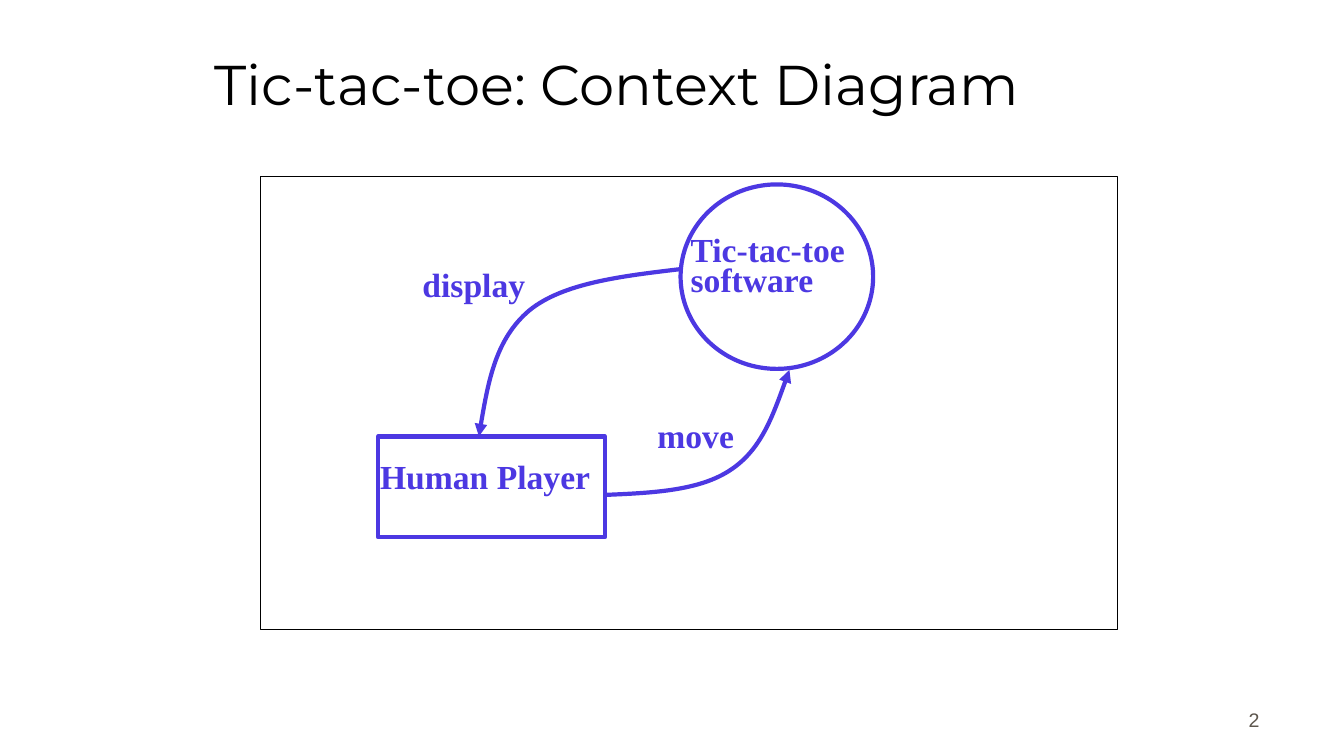
from dataclasses import dataclass

from lxml.etree import SubElement
from pptx import Presentation
from pptx.dml.color import RGBColor
from pptx.enum.shapes import MSO_SHAPE as Preset
from pptx.enum.text import MSO_ANCHOR as Anchor, MSO_AUTO_SIZE as AutoSize, PP_ALIGN as Align
from pptx.oxml.ns import qn
from pptx.util import Inches, Pt

BLACK = RGBColor(0x00, 0x00, 0x00)
VIOLET = RGBColor(0x4C, 0x38, 0xE2)
GREY = RGBColor(0x5E, 0x57, 0x4E)

Point = tuple[float, float]
Area = tuple[float, float, float, float]

TIGHT_FRAME = {"margin_left": Inches(0.02), "margin_right": Inches(0.02),
               "margin_top": Inches(0.05), "margin_bottom": Inches(0.05),
               "word_wrap": True, "auto_size": AutoSize.NONE}
TITLE_FONT = {"name": "Montserrat", "size": Pt(40), "bold": False}
LABEL_FONT = {"name": "Times New Roman", "size": Pt(24), "bold": True}
NUMBER_FONT = {"name": "Arial", "size": Pt(14)}


@dataclass
class Outline:
    preset: Preset
    area: Area
    color: RGBColor
    width: float


@dataclass
class Label:
    words: str
    area: Area


@dataclass
class Flow:
    start: Point
    bends: list[Point]


OUTLINES = [
    Outline(Preset.ROUNDED_RECTANGLE, (2.58, 1.75, 8.5, 4.5), BLACK, 0.75),
    Outline(Preset.OVAL, (6.75, 1.83, 1.91, 1.83), VIOLET, 3),
    Outline(Preset.ROUNDED_RECTANGLE, (3.75, 4.33, 2.25, 1), VIOLET, 3),
]
FLOWS = [
    Flow((6.75, 2.67), [(6.16, 2.74), (5.58, 2.81), (5.25, 3.08),
                        (4.92, 3.36), (4.83, 3.84), (4.75, 4.33)]),
    Flow((6, 4.91), [(6.47, 4.89), (6.94, 4.87), (7.25, 4.66),
                     (7.55, 4.46), (7.69, 4.06), (7.83, 3.67)]),
]
LABELS = [
    Label("Human Player", (3.75, 4.58, 2.33, 0.5)),
    Label("Tic-tac-toe software", (6.83, 2.33, 1.83, 0.9)),
    Label("display", (4.17, 2.67, 1.5, 0.5)),
    Label("move", (6.5, 4.17, 1.75, 0.5)),
]


def apply(target, values: dict) -> None:
    for name, value in values.items():
        setattr(target, name, value)


def write(box, words: str, font: dict, color: RGBColor, frame: dict, layout: dict) -> None:
    apply(box.text_frame, frame)
    para = box.text_frame.paragraphs[0]
    apply(para, layout)
    span = para.add_run()
    span.text = words
    apply(span.font, font)
    span.font.color.rgb = color


def stroke(shape, color: RGBColor, width: float):
    shape.shadow.inherit = False
    shape.fill.background()
    shape.line.color.rgb = color
    shape.line.width = Pt(width)
    line = shape.line._get_or_add_ln()
    SubElement(line, qn("a:round"))
    return line


def draw_title(page, words: str) -> None:
    title = page.shapes.title
    apply(title, dict(zip(("left", "top", "width", "height"), map(Inches, (2.11, 0.2, 8.5, 1.25)))))
    write(title, words, TITLE_FONT, BLACK,
          TIGHT_FRAME | {"vertical_anchor": Anchor.MIDDLE}, {"alignment": Align.LEFT})


def draw_outline(page, outline: Outline) -> None:
    shape = page.shapes.add_shape(outline.preset, *map(Inches, outline.area))
    if outline.preset == Preset.ROUNDED_RECTANGLE:
        shape.adjustments[0] = 0
    stroke(shape, outline.color, outline.width)


def draw_flow(page, flow: Flow) -> None:
    builder = page.shapes.build_freeform(*map(Inches, flow.start))
    builder.add_line_segments([(Inches(x), Inches(y)) for x, y in flow.bends], close=False)
    shape = builder.convert_to_shape()
    segments = list(shape._element.iter(qn("a:lnTo")))
    for first in range(0, len(segments), 3):
        curve = SubElement(segments[first].getparent(), qn("a:cubicBezTo"))
        for segment in segments[first:first + 3]:
            curve.append(segment[0])
            segment.getparent().remove(segment)
    line = stroke(shape, VIOLET, 3)
    SubElement(line, qn("a:tailEnd"), type="triangle")


def draw_label(page, label: Label) -> None:
    box = page.shapes.add_textbox(*map(Inches, label.area))
    write(box, label.words, LABEL_FONT, VIOLET, TIGHT_FRAME, {"line_spacing": 0.72})


def draw_page_number(page, number: str) -> None:
    box = page.shapes.add_textbox(*map(Inches, (9.81, 6.81, 2.78, 0.5)))
    write(box, number, NUMBER_FONT, GREY,
          {"word_wrap": True, "vertical_anchor": Anchor.BOTTOM}, {"alignment": Align.RIGHT})


def main() -> None:
    deck = Presentation()
    deck.slide_width, deck.slide_height = Inches(13.33), Inches(7.5)
    page = deck.slides.add_slide(deck.slide_layouts[5])
    draw_title(page, "Tic-tac-toe: Context Diagram")
    for outline in OUTLINES:
        draw_outline(page, outline)
    for flow in FLOWS:
        draw_flow(page, flow)
    for label in LABELS:
        draw_label(page, label)
    draw_page_number(page, "2")
    deck.save("out.pptx")


if __name__ == "__main__":
    main()
